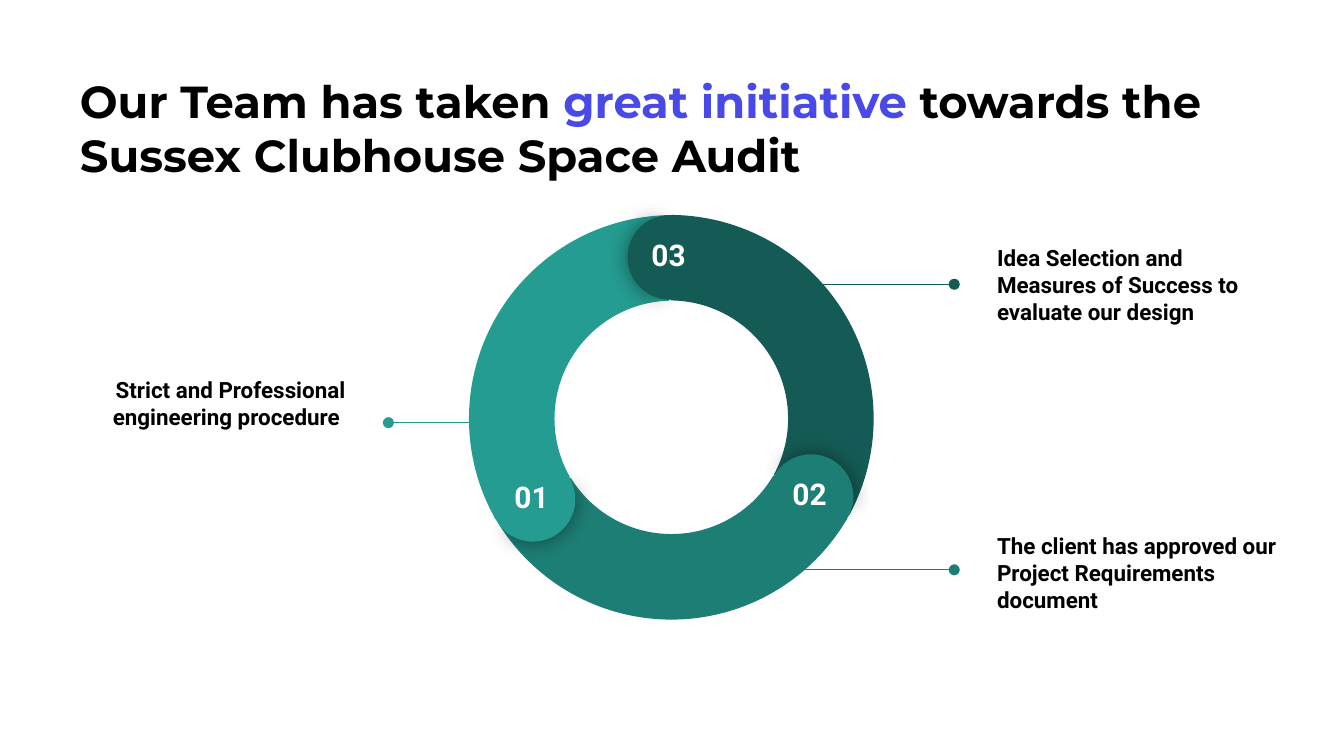
import math
from dataclasses import dataclass

import pptx
import pptx.util
from lxml import etree
from pptx.dml.color import RGBColor
from pptx.enum.shapes import MSO_CONNECTOR, MSO_SHAPE
from pptx.enum.text import MSO_ANCHOR, MSO_AUTO_SIZE, PP_ALIGN
from pptx.oxml.ns import qn


@dataclass(frozen=True)
class Theme:
    ink: str = "000000"
    accent: str = "4949E7"
    paper: str = "FFFFFF"
    light: str = "249C91"
    medium: str = "1D7E75"
    dark: str = "155B55"
    heading_font: str = "Montserrat"
    body_font: str = "Roboto"
    title_size: int = 24
    number_size: int = 16
    label_size: int = 12


THEME = Theme()

# Lengths are in grid cells; the slide is 100 columns by 56.25 rows.
COLUMNS, ROWS = 100, 56.25
TITLE = [
    ("Our Team has taken ", THEME.ink),
    ("great initiative ", THEME.accent),
    ("towards the Sussex Clubhouse Space Audit", THEME.ink),
]
TITLE_AREA = (4.95, 4.5, 90.3, 11.5)
LABEL_WIDTH, LABEL_HEIGHT = 23.2, 14.1
CALLOUTS = [
    dict(text="Strict and Professional engineering procedure ", color=THEME.light,
         left=3.5, top=24.2, line=(35.8, 28.9, 31.45), align=PP_ALIGN.RIGHT, lift=2.5),
    dict(text="Idea Selection and Measures of Success to evaluate our design",
         color=THEME.dark, left=73.2, top=14.1, line=(57, 71, 21.15),
         align=PP_ALIGN.LEFT, lift=0),
    dict(text="The client has approved our Project Requirements document",
         color=THEME.medium, left=73.2, top=35.55, line=(57, 71, 42.4),
         align=PP_ALIGN.LEFT, lift=0),
]
# Number, colour, centre of the arc, direction of its rounded cap in degrees
SEGMENTS = [
    ("03", THEME.dark, (49.85, 31.15), -90),
    ("02", THEME.medium, (49.95, 30.95), 30),
    ("01", THEME.light, (50.05, 31.15), 150),
]
RING_SIZE, CAP_SIZE = 30.3, 6.3
CAP_ORBIT = (RING_SIZE - CAP_SIZE) / 2
ARC_ANGLES, ARC_THICKNESS = (210.38, 328.4), 0.21
SHADED_CAP, PLAIN_CAP = (103.17, 249.94), (67.14, 286.4)
NUMBER_WIDTH, NUMBER_HEIGHT = 5.6, 2.9


def cells(count):
    return pptx.util.Inches(count / 10)


def area(left, top, width, height):
    return [cells(length) for length in (left, top, width, height)]


def centred(center, width, height):
    return area(center[0] - width / 2, center[1] - height / 2, width, height)


def add_span(para, text, size, color, font):
    span = para.add_run()
    span.text = text
    span.font.size = pptx.util.Pt(size)
    span.font.bold = True
    span.font.name = font
    span.font.color.rgb = RGBColor.from_string(color)


def prepare_frame(box, anchor):
    frame = box.text_frame
    frame.word_wrap = True
    frame.auto_size = MSO_AUTO_SIZE.NONE
    frame.vertical_anchor = anchor
    frame.margin_left = frame.margin_right = cells(1)
    frame.margin_top = frame.margin_bottom = cells(1)
    return frame


def add_text(page, place, text, size, color, align, anchor):
    box = page.shapes.add_textbox(*place)
    frame = prepare_frame(box, anchor)
    para = frame.paragraphs[0]
    para.alignment = align
    add_span(para, text, size, color, THEME.body_font)
    return frame


def add_title(page):
    title = page.shapes.title
    title.left, title.top, title.width, title.height = area(*TITLE_AREA)
    para = prepare_frame(title, MSO_ANCHOR.TOP).paragraphs[0]
    para.alignment = PP_ALIGN.LEFT
    for text, color in TITLE:
        add_span(para, text, THEME.title_size, color, THEME.heading_font)


def add_callout(page, callout):
    """Add a label and the dotted leader that points to it."""
    place = area(callout["left"], callout["top"], LABEL_WIDTH, LABEL_HEIGHT)
    frame = add_text(page, place, callout["text"], THEME.label_size, THEME.ink,
                     callout["align"], MSO_ANCHOR.MIDDLE)
    frame.margin_bottom = cells(1 + callout["lift"])

    start, end, level = map(cells, callout["line"])
    leader = page.shapes.add_connector(MSO_CONNECTOR.STRAIGHT, start, level, end, level)
    leader.line.color.rgb = RGBColor.from_string(callout["color"])
    leader.line.width = pptx.util.Pt(0.75)
    etree.SubElement(leader.line._get_or_add_ln(), qn("a:tailEnd"), type="oval")
    etree.SubElement(leader._element.spPr, qn("a:effectLst"))


def add_sector(page, kind, center, size, rotation, angles, color):
    sector = page.shapes.add_shape(kind, *centred(center, size, size))
    sector.rotation = rotation % 360
    for index, angle in enumerate(angles):
        # Degrees are stored in 60000ths, adjustments in 100000ths.
        sector.adjustments[index] = angle * 0.6
    sector.fill.solid()
    sector.fill.fore_color.rgb = RGBColor.from_string(color)
    sector.line.fill.background()
    sector.shadow.inherit = False
    return sector


def add_glow(shape):
    """Give a shape a soft shadow without offset."""
    effects = shape._element.spPr.find(qn("a:effectLst"))
    shadow = etree.SubElement(effects, qn("a:outerShdw"), dist="0", dir="0",
                              blurRad=str(pptx.util.Pt(11.2)), rotWithShape="0")
    color = etree.SubElement(shadow, qn("a:srgbClr"), val=THEME.ink)
    etree.SubElement(color, qn("a:alpha"), val="43000")


def add_ring(page):
    for _, color, center, direction in SEGMENTS:
        arc = add_sector(page, MSO_SHAPE.BLOCK_ARC, center, RING_SIZE,
                         direction + 150, ARC_ANGLES, color)
        arc.adjustments[2] = ARC_THICKNESS

    for number, color, center, direction in SEGMENTS:
        turn = math.radians(direction)
        cap = (center[0] + CAP_ORBIT * math.cos(turn),
               center[1] + CAP_ORBIT * math.sin(turn))
        add_glow(add_sector(page, MSO_SHAPE.PIE, cap, CAP_SIZE,
                            direction + 90.7, SHADED_CAP, color))
        add_sector(page, MSO_SHAPE.PIE, cap, CAP_SIZE,
                   direction + 270, PLAIN_CAP, color)
        place = centred((cap[0] - 0.1, cap[1] - 1.1), NUMBER_WIDTH, NUMBER_HEIGHT)
        add_text(page, place, number, THEME.number_size, THEME.paper,
                 PP_ALIGN.CENTER, MSO_ANCHOR.TOP)


def main():
    deck = pptx.Presentation()
    deck.slide_width, deck.slide_height = cells(COLUMNS), cells(ROWS)
    page = deck.slides.add_slide(deck.slide_layouts.get_by_name("Title Only"))
    page.background.fill.solid()
    page.background.fill.fore_color.rgb = RGBColor.from_string(THEME.paper)
    add_title(page)
    for callout in CALLOUTS:
        add_callout(page, callout)
    add_ring(page)
    deck.save("out.pptx")


if __name__ == "__main__":
    main()
